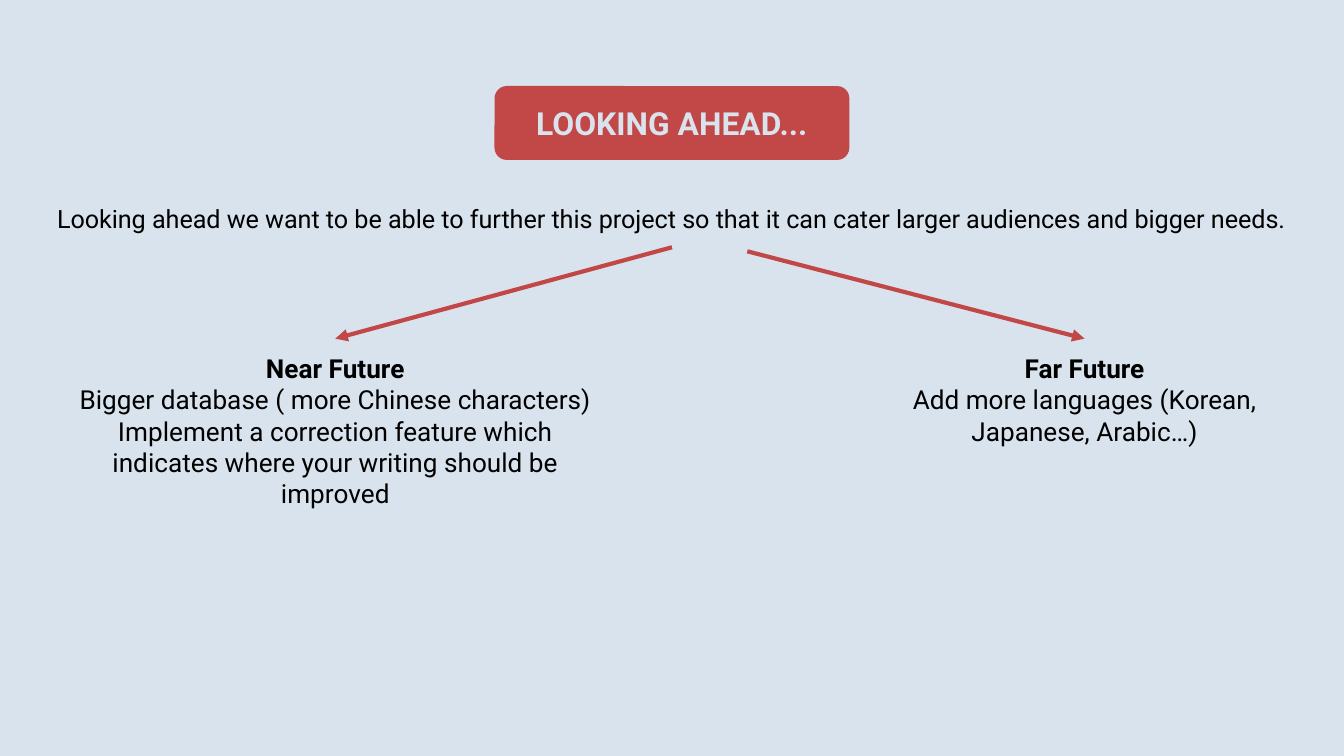
from lxml import etree
from pptx import Presentation
from pptx import util as u
from pptx.dml.color import RGBColor
from pptx.enum import shapes, text
from pptx.oxml.ns import qn

THEME = {
    "font": "Roboto",
    "background": RGBColor.from_string("D9E3ED"),
    "accent": RGBColor.from_string("C24747"),
    "ink": RGBColor.from_string("000000"),
    "title_size": 17,
    "intro_size": 13.5,
    "body_size": 14,
    "arrow_width": 2.25,
}
SLIDE_WIDTH = 10
SLIDE_HEIGHT = SLIDE_WIDTH * 9 / 16
PADDING = 0.1

# Each paragraph is a list of (words, bold) lines joined by line breaks.
TITLE = {
    "paragraphs": [[("LOOKING AHEAD...", True)]],
    "box": (3.68, 0.64, 2.64, 0.55),
}
INTRO = {
    "paragraphs": [[(
        "Looking ahead we want to be able to further this project "
        "so that it can cater larger audiences and bigger needs.", False)]],
    "box": (0.3, 1.38, 9.39, 0.45),
}
BRANCH_TOP, BRANCH_HEIGHT = 2.52, 1.18
BRANCHES = [
    {
        "paragraphs": [
            [("Near Future", True)],
            [("Bigger database ( more Chinese characters)", False)],
            [("Implement a correction feature which indicates where "
              "your writing should be improved", False)],
        ],
        "left": 0.48, "width": 4.03, "arrow_start": (5, 1.84),
    },
    {
        "paragraphs": [
            [("Far Future", True),
             ("Add more languages (Korean, Japanese, Arabic…)", False)],
        ],
        "left": 6.56, "width": 3.02, "arrow_start": (5.56, 1.87),
    },
]


def inches(values):
    return [u.Inches(value) for value in values]


def add_break(paragraph, size):
    """Add a line break that keeps the height of the text around it."""
    paragraph.add_line_break()
    line_break = paragraph._p.findall(qn("a:br"))[-1]
    etree.SubElement(line_break, qn("a:rPr"), sz=str(int(size * 100)))


def write(shape, paragraphs, size, color, anchor=text.MSO_ANCHOR.TOP, spacing=None):
    """Fill a shape with centred paragraphs of (words, bold) lines."""
    frame = shape.text_frame
    frame_format = {"word_wrap": True, "vertical_anchor": anchor}
    for side in ("left", "top", "right", "bottom"):
        frame_format[f"margin_{side}"] = u.Inches(PADDING)
    for name, value in frame_format.items():
        setattr(frame, name, value)
    for index, lines in enumerate(paragraphs):
        paragraph = frame.add_paragraph() if index else frame.paragraphs[0]
        paragraph.alignment = text.PP_ALIGN.CENTER
        paragraph.line_spacing = spacing
        for position, (words, bold) in enumerate(lines):
            if position:
                add_break(paragraph, size)
            run = paragraph.add_run()
            run.text = words
            font_format = {"name": THEME["font"], "size": u.Pt(size), "bold": bold}
            for name, value in font_format.items():
                setattr(run.font, name, value)
            run.font.color.rgb = color


def add_title(slide):
    shape = slide.shapes.add_shape(
        shapes.MSO_SHAPE.ROUNDED_RECTANGLE, *inches(TITLE["box"]))
    shape.shadow.inherit = False
    shape.fill.solid()
    shape.fill.fore_color.rgb = THEME["accent"]
    shape.line.fill.background()
    write(shape, TITLE["paragraphs"], THEME["title_size"],
          THEME["background"], text.MSO_ANCHOR.MIDDLE)


def add_arrow(slide, start, end):
    arrow = slide.shapes.add_connector(
        shapes.MSO_CONNECTOR.STRAIGHT, *inches(start + end))
    arrow.line.color.rgb = THEME["accent"]
    arrow.line.width = u.Pt(THEME["arrow_width"])
    properties = arrow.element.spPr
    etree.SubElement(properties.find(qn("a:ln")), qn("a:tailEnd"), type="triangle")
    etree.SubElement(properties, qn("a:effectLst"))


def add_branch_text(slide, branch):
    box = slide.shapes.add_textbox(
        *inches((branch["left"], BRANCH_TOP, branch["width"], BRANCH_HEIGHT)))
    write(box, branch["paragraphs"], THEME["body_size"], THEME["ink"])


def main():
    presentation = Presentation()
    presentation.slide_width = u.Inches(SLIDE_WIDTH)
    presentation.slide_height = u.Inches(SLIDE_HEIGHT)
    slide = presentation.slides.add_slide(presentation.slide_layouts[6])
    slide.background.fill.solid()
    slide.background.fill.fore_color.rgb = THEME["background"]

    add_title(slide)
    intro = slide.shapes.add_textbox(*inches(INTRO["box"]))
    write(intro, INTRO["paragraphs"], THEME["intro_size"], THEME["ink"],
          spacing=1.15)
    for branch in BRANCHES:
        add_branch_text(slide, branch)
    for branch in BRANCHES:
        center = branch["left"] + branch["width"] / 2
        add_arrow(slide, branch["arrow_start"], (center, BRANCH_TOP))
    presentation.save("out.pptx")


if __name__ == "__main__":
    main()
